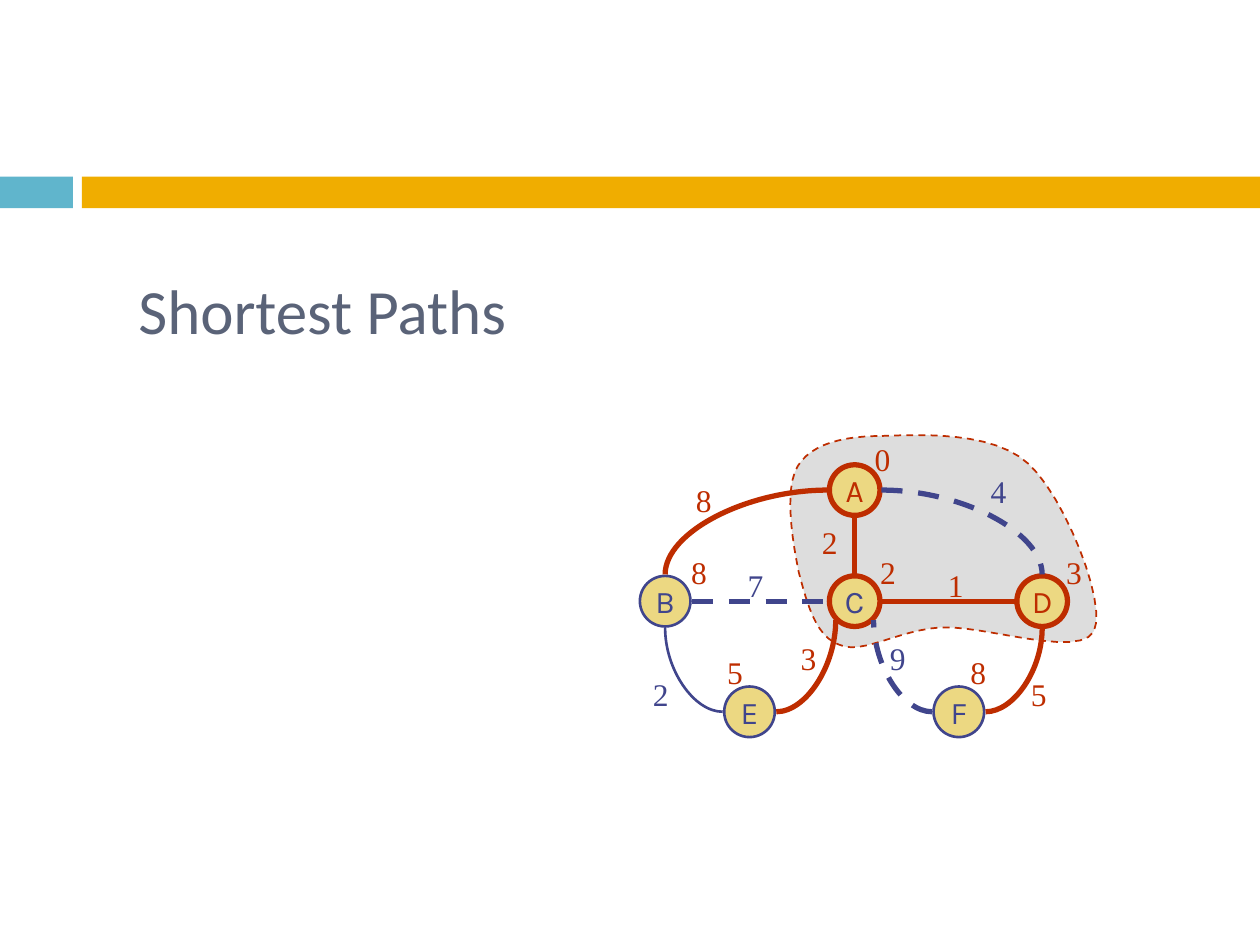
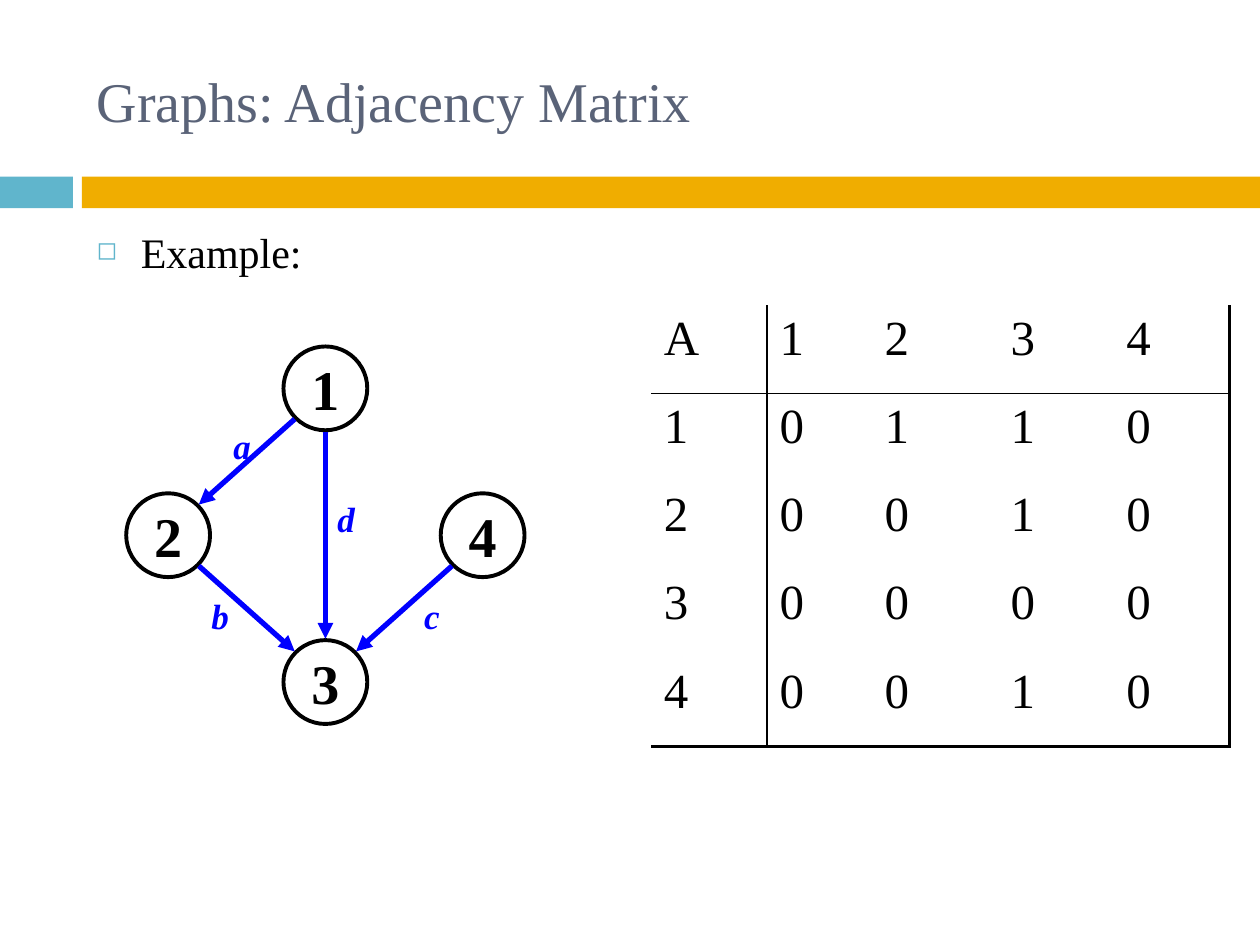
from dataclasses import dataclass
from math import cos, radians, sin
from lxml import etree
from pptx import Presentation
from pptx import util as u
from pptx.dml.color import RGBColor
from pptx.enum import dml, shapes, text
from pptx.oxml import ns


@dataclass(frozen=True)
class Theme:
    slate: str = "5A6378"
    sky: str = "60B5CC"
    amber: str = "F0AD00"
    red: str = "BE2D00"
    navy: str = "40458C"
    sand: str = "ECD882"
    cloud: str = "DDDDDD"
    blue: str = "0000FF"
    black: str = "000000"
    serif: str = "Times New Roman"
    sans: str = "Karla"
    head: str = "Calibri"
    cover: int = 36
    title: int = 32
    cell: int = 28
    body: int = 24
    mark: int = 20
    small: int = 18


@dataclass(frozen=True)
class Node:
    name: str
    x: float
    y: float
    ring: str
    width: float
    ink: str


@dataclass(frozen=True)
class Edge:
    start: str
    leave: int
    end: str
    enter: int
    color: str
    width: float = 3
    dash: bool = False
    curve: bool = False
    arrow: bool = False


@dataclass(frozen=True)
class Label:
    text: str
    x: float
    y: float
    color: str


@dataclass(frozen=True)
class Look:
    size: float
    fill: str | None
    font: str
    points: int
    bold: bool


T = Theme()
GAP = 0.03
TOP, LEFT, LOW_LEFT, BOTTOM, LOW_RIGHT, RIGHT, TOP_RIGHT, TOP_LEFT = 0, 2, 3, 4, 5, 6, 7, 1
ROWS = (9.88, 12.12, 14.35)

PATH_NODES = [
    Node("C", 17.23, ROWS[1], T.red, 3, T.navy),
    Node("B", 13.41, ROWS[1], T.navy, 1.5, T.navy),
    Node("A", 17.23, ROWS[0], T.red, 3, T.red),
    Node("E", 15.11, ROWS[2], T.navy, 1.5, T.navy),
    Node("D", 21.01, ROWS[1], T.red, 3, T.red),
    Node("F", 19.33, ROWS[2], T.navy, 1.5, T.navy),
]
PATH_EDGES = [
    Edge("A", LEFT, "B", TOP, T.red, curve=True),
    Edge("E", LEFT, "B", BOTTOM, T.navy, 1.5, curve=True),
    Edge("E", RIGHT, "C", LOW_LEFT, T.red, curve=True),
    Edge("A", BOTTOM, "C", TOP, T.red),
    Edge("B", RIGHT, "C", LEFT, T.navy, dash=True),
    Edge("F", RIGHT, "D", BOTTOM, T.red, curve=True),
    Edge("A", RIGHT, "D", TOP, T.navy, dash=True, curve=True),
    Edge("C", RIGHT, "D", LEFT, T.red),
    Edge("F", LEFT, "C", LOW_RIGHT, T.navy, dash=True, curve=True),
]
PATH_LABELS = [
    Label("0", 17.37, 8.74, T.red),
    Label("3", 21.23, 11.02, T.red),
    Label("2", 17.48, 11.02, T.red),
    Label("8", 13.67, 11.02, T.red),
    Label("5", 14.4, 13.03, T.red),
    Label("8", 19.3, 13.03, T.red),
    Label("4", 19.71, 9.4, T.navy),
    Label("8", 13.77, 9.58, T.red),
    Label("7", 14.81, 11.28, T.navy),
    Label("1", 18.85, 11.28, T.red),
    Label("2", 12.9, 13.49, T.navy),
    Label("5", 20.52, 13.49, T.red),
    Label("2", 16.31, 10.41, T.red),
    Label("3", 15.88, 12.75, T.red),
    Label("9", 17.68, 12.75, T.navy),
]
CLOUD = [
    (17.78, 8.79),
    (18.54, 8.76), (20.02, 8.69), (20.73, 9.35),
    (21.44, 9.98), (22.33, 12.17), (22.05, 12.73),
    (21.74, 13.28), (19.84, 12.6), (18.97, 12.65),
    (18.11, 12.7), (17.37, 13.21), (16.92, 13.0),
    (16.43, 12.83), (16.26, 12.12), (16.1, 11.53),
    (15.98, 10.92), (15.8, 9.88), (16.08, 9.4),
    (16.36, 8.94), (17.02, 8.79), (17.78, 8.79),
]
GRAPH_NODES = [
    Node(name, 3.39 + 3.17 * col, 7.83 + 2.96 * row, T.black, 2.25, T.black)
    for name, col, row in (("1", 1, 0), ("2", 0, 1), ("4", 2, 1), ("3", 1, 2))
]
GRAPH_EDGES = [
    Edge("1", LOW_LEFT, "2", TOP_RIGHT, T.blue, arrow=True),
    Edge("2", LOW_RIGHT, "3", TOP_LEFT, T.blue, arrow=True),
    Edge("4", LOW_LEFT, "3", TOP_RIGHT, T.blue, arrow=True),
    Edge("1", BOTTOM, "3", TOP, T.blue, arrow=True),
]
GRAPH_LABELS = [
    Label("a", 4.45, 8.43, T.blue),
    Label("d", 6.55, 9.91, T.blue),
    Label("b", 4.01, 11.86, T.blue),
    Label("c", 8.28, 11.86, T.blue),
]
MATRIX = ["A1234", "10110", "20010", "30000", "40010"]
COLUMNS = (2.33, 2.12, 2.54, 2.33, 2.33)


def rgb(color: str) -> RGBColor:
    return RGBColor.from_string(color)


def add_node(parent, tag: str, **attrs: str):
    return etree.SubElement(parent, ns.qn(tag), attrs)


def write(frame, words: str, *, size: int, color: str, font: str = T.serif,
          bold: bool = False, slant: bool = False, center: bool = False,
          middle: bool = False, wrap: bool = True):
    frame.word_wrap = wrap
    frame.vertical_anchor = text.MSO_ANCHOR.MIDDLE if middle else text.MSO_ANCHOR.TOP
    para = frame.paragraphs[0]
    para.alignment = text.PP_ALIGN.CENTER if center else text.PP_ALIGN.LEFT
    run = para.add_run()
    run.text = words
    run.font.size = u.Pt(size)
    run.font.name = font
    run.font.bold = bold
    run.font.italic = slant
    run.font.color.rgb = rgb(color)
    return para


def add_box(slide, x: float, y: float, w: float, h: float, words: str, **style):
    box = slide.shapes.add_textbox(u.Cm(x), u.Cm(y), u.Cm(w), u.Cm(h))
    return write(box.text_frame, words, **style)


def paint(shape, fill: str | None, line: str | None = None, width: float = 1) -> None:
    shape.shadow.inherit = False
    if fill:
        shape.fill.solid()
        shape.fill.fore_color.rgb = rgb(fill)
    else:
        shape.fill.background()
    if line:
        shape.line.color.rgb = rgb(line)
        shape.line.width = u.Pt(width)
    else:
        shape.line.fill.background()


def start_slide(deck):
    slide = deck.slides.add_slide(deck.slide_layouts[6])
    for x, w, color in ((0, 1.47, T.sky), (1.65, 23.75, T.amber)):
        band = slide.shapes.add_shape(
            shapes.MSO_SHAPE.RECTANGLE, u.Cm(x), u.Cm(3.56), u.Cm(w), u.Cm(0.64))
        paint(band, color)
    return slide


def draw_node(slide, node: Node, look: Look):
    half = look.size / 2
    disc = slide.shapes.add_shape(
        shapes.MSO_SHAPE.OVAL, u.Cm(node.x - half), u.Cm(node.y - half),
        u.Cm(look.size), u.Cm(look.size))
    paint(disc, look.fill, node.ring, node.width)
    write(disc.text_frame, node.name, size=look.points, color=node.ink, font=look.font,
          bold=look.bold, center=True, middle=True, wrap=False)
    return disc


def find_site(node: Node, site: int, size: float) -> tuple[int, int]:
    angle = radians(90 + 45 * site)
    reach = size / 2 + GAP
    return u.Cm(node.x + reach * cos(angle)), u.Cm(node.y - reach * sin(angle))


def draw_edge(slide, edge: Edge, nodes: dict, discs: dict, size: float) -> None:
    kind = shapes.MSO_CONNECTOR.CURVE if edge.curve else shapes.MSO_CONNECTOR.STRAIGHT
    link = slide.shapes.add_connector(
        kind, *find_site(nodes[edge.start], edge.leave, size),
        *find_site(nodes[edge.end], edge.enter, size))
    link.line.color.rgb = rgb(edge.color)
    link.line.width = u.Pt(edge.width)
    if edge.dash:
        link.line.dash_style = dml.MSO_LINE.DASH
    root = link._element
    if edge.curve:
        root.find(".//" + ns.qn("a:prstGeom")).set("prst", "curvedConnector2")
    if edge.arrow:
        add_node(link.line._get_or_add_ln(), "a:tailEnd", type="triangle")
    add_node(root.spPr, "a:effectLst")
    glue = root.find(".//" + ns.qn("p:cNvCxnSpPr"))
    for tag, name, site in (("a:stCxn", edge.start, edge.leave),
                            ("a:endCxn", edge.end, edge.enter)):
        add_node(glue, tag, id=str(discs[name].shape_id), idx=str(site))


def draw_graph(slide, nodes: list[Node], edges: list[Edge], look: Look) -> None:
    discs = {node.name: draw_node(slide, node, look) for node in nodes}
    names = {node.name: node for node in nodes}
    for edge in edges:
        draw_edge(slide, edge, names, discs, look.size)


def draw_labels(slide, labels: list[Label], w: float, h: float, **style) -> None:
    for label in labels:
        add_box(slide, label.x, label.y, w, h, label.text, color=label.color,
                center=True, wrap=False, **style)


def draw_cloud(slide, steps: int = 12) -> None:
    dots = []
    for i in range(0, len(CLOUD) - 1, 3):
        for step in range(1, steps + 1):
            t = step / steps
            parts = ((1 - t) ** 3, 3 * t * (1 - t) ** 2, 3 * t * t * (1 - t), t ** 3)
            dots.append(tuple(
                u.Cm(sum(part * dot[axis] for part, dot in zip(parts, CLOUD[i:i + 4])))
                for axis in (0, 1)))
    pen = slide.shapes.build_freeform(*dots[-1])
    pen.add_line_segments(dots[:-1], close=True)
    cloud = pen.convert_to_shape()
    paint(cloud, T.cloud, T.red, 1)
    cloud.line.dash_style = dml.MSO_LINE.DASH


def set_edge(cell, side: str, width: float) -> None:
    line = add_node(cell._tc.get_or_add_tcPr(), f"a:ln{side}", w=str(u.Pt(width)))
    if width:
        add_node(add_node(line, "a:solidFill"), "a:srgbClr", val=T.black)
    else:
        add_node(line, "a:noFill")


def draw_matrix(slide) -> None:
    last = len(MATRIX) - 1
    grid = slide.shapes.add_table(
        len(MATRIX), len(COLUMNS), u.Cm(13.13), u.Cm(6.15), u.Cm(sum(COLUMNS)), u.Cm(8.9)).table
    grid.first_row = grid.horz_banding = False
    for col, width in zip(grid.columns, COLUMNS):
        col.width = u.Cm(width)
    for r, line in enumerate(MATRIX):
        for c, words in enumerate(line):
            cell = grid.cell(r, c)
            write(cell.text_frame, words, size=T.cell, color=T.black)
            set_edge(cell, "L", 1 if c == 1 else 0)
            set_edge(cell, "R", {0: 1, last: 2.25}.get(c, 0))
            set_edge(cell, "T", 1 if r == 1 else 0)
            set_edge(cell, "B", {0: 1, last: 2.25}.get(r, 0))
            cell.fill.background()


def add_bullet(para) -> None:
    para.space_before = u.Pt(7)
    props = para._p.get_or_add_pPr()
    props.set("marL", str(u.Cm(0.89)))
    props.set("indent", str(-u.Cm(0.89)))
    add_node(add_node(props, "a:buClr"), "a:srgbClr", val=T.sky)
    add_node(props, "a:buSzPct", val="60000")
    add_node(props, "a:buChar", char="◻")


def build_paths(deck) -> None:
    slide = start_slide(deck)
    add_box(slide, 2.54, 4.65, 21.59, 3.18, "Shortest Paths",
            size=T.cover, color=T.slate, font=T.head, middle=True)
    draw_cloud(slide)
    draw_graph(slide, PATH_NODES, PATH_EDGES, Look(1.02, T.sand, T.sans, T.small, False))
    draw_labels(slide, PATH_LABELS, 0.84, 1.02, size=T.small)


def build_matrix(deck) -> None:
    slide = start_slide(deck)
    add_box(slide, 1.7, 0.64, 22.66, 2.74, "Graphs: Adjacency Matrix",
            size=T.title, color=T.slate, middle=True)
    add_bullet(add_box(slide, 1.7, 4.45, 22.66, 12.5, "Example:", size=T.body, color=T.black))
    draw_matrix(slide)
    draw_graph(slide, GRAPH_NODES, GRAPH_EDGES, Look(1.69, None, T.serif, T.title, True))
    draw_labels(slide, GRAPH_LABELS, 0.86, 1.09, size=T.mark, bold=True, slant=True)


def main() -> None:
    deck = Presentation()
    deck.slide_width, deck.slide_height = u.Cm(25.4), u.Cm(19.05)
    build_paths(deck)
    build_matrix(deck)
    deck.save("out.pptx")


if __name__ == "__main__":
    main()
